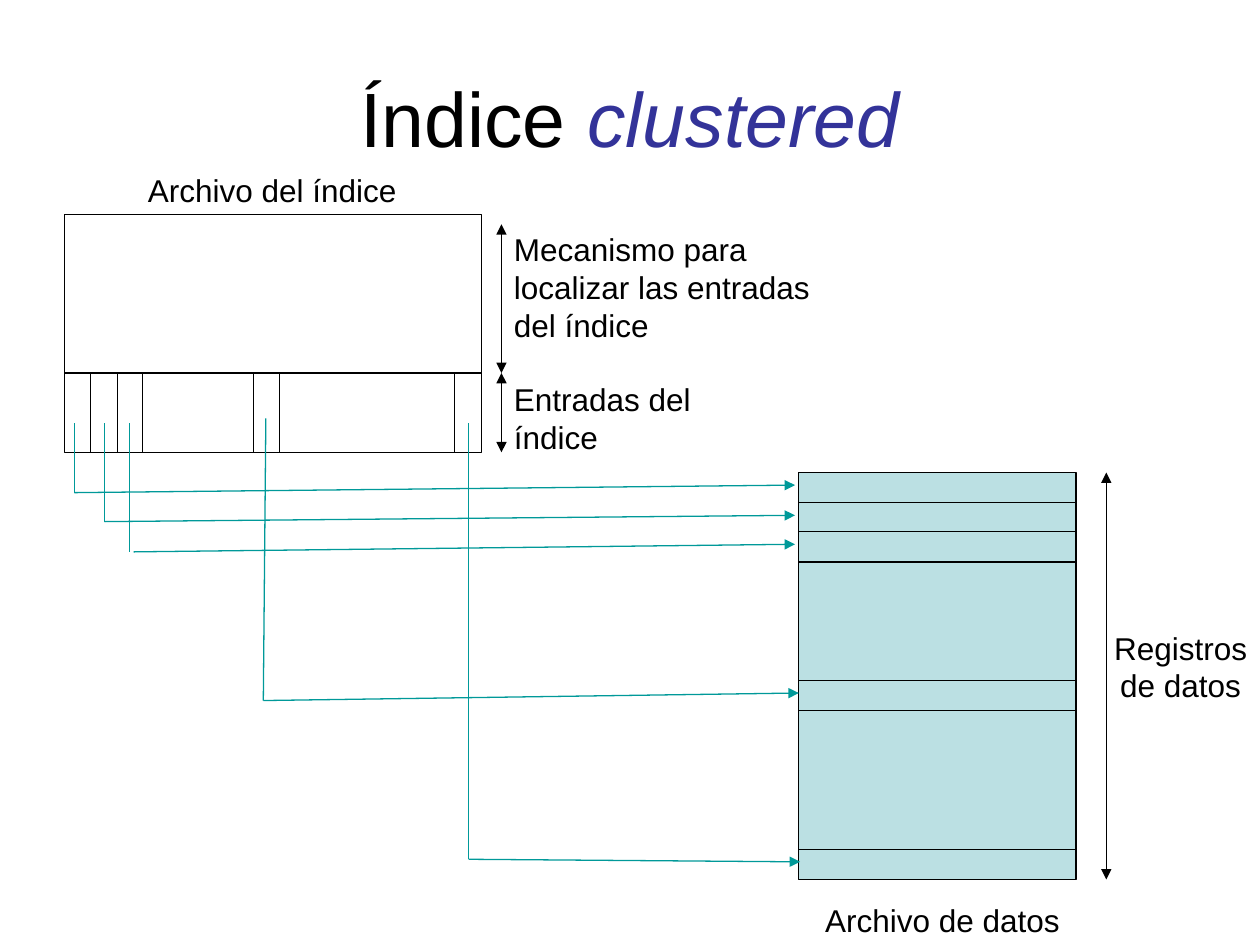
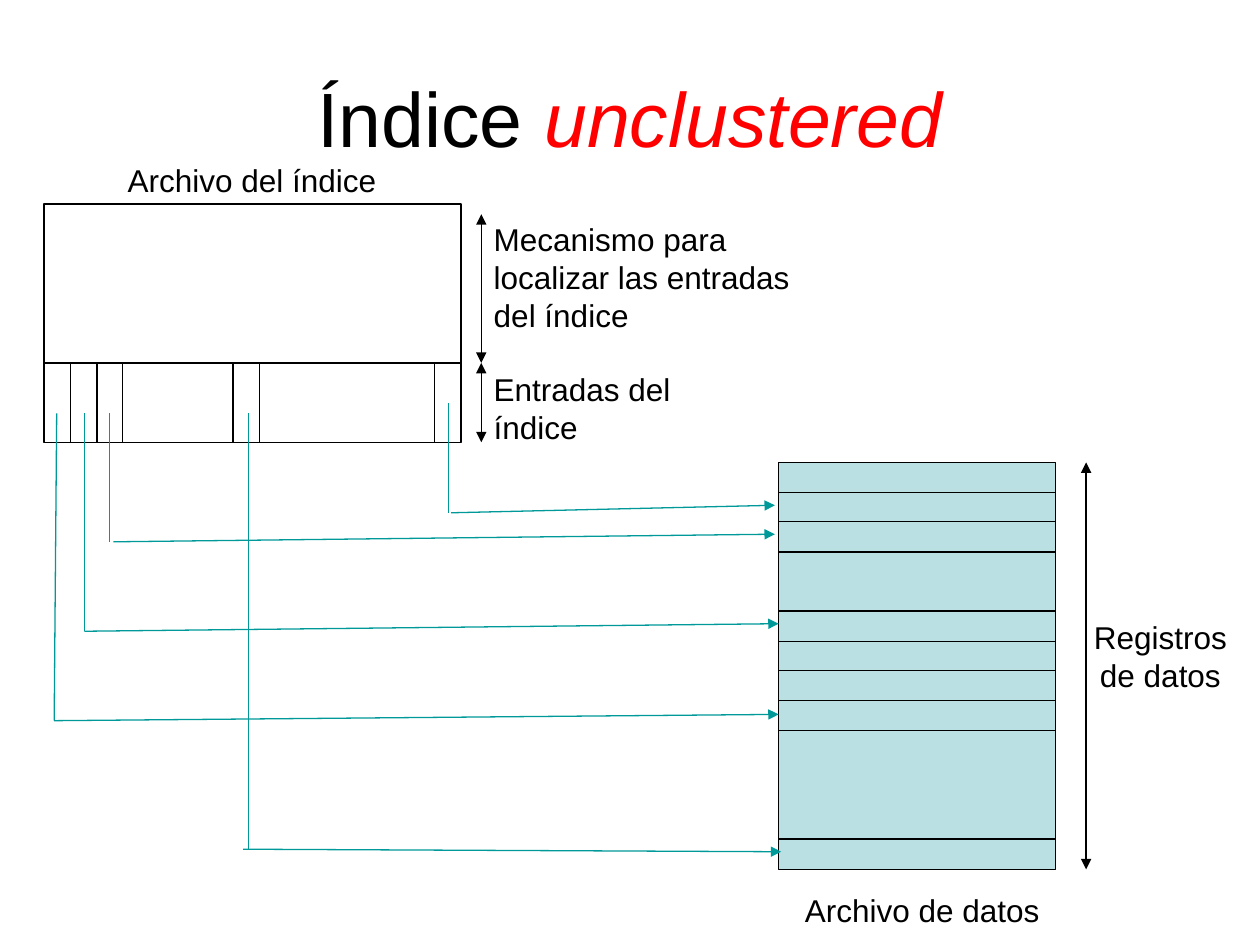
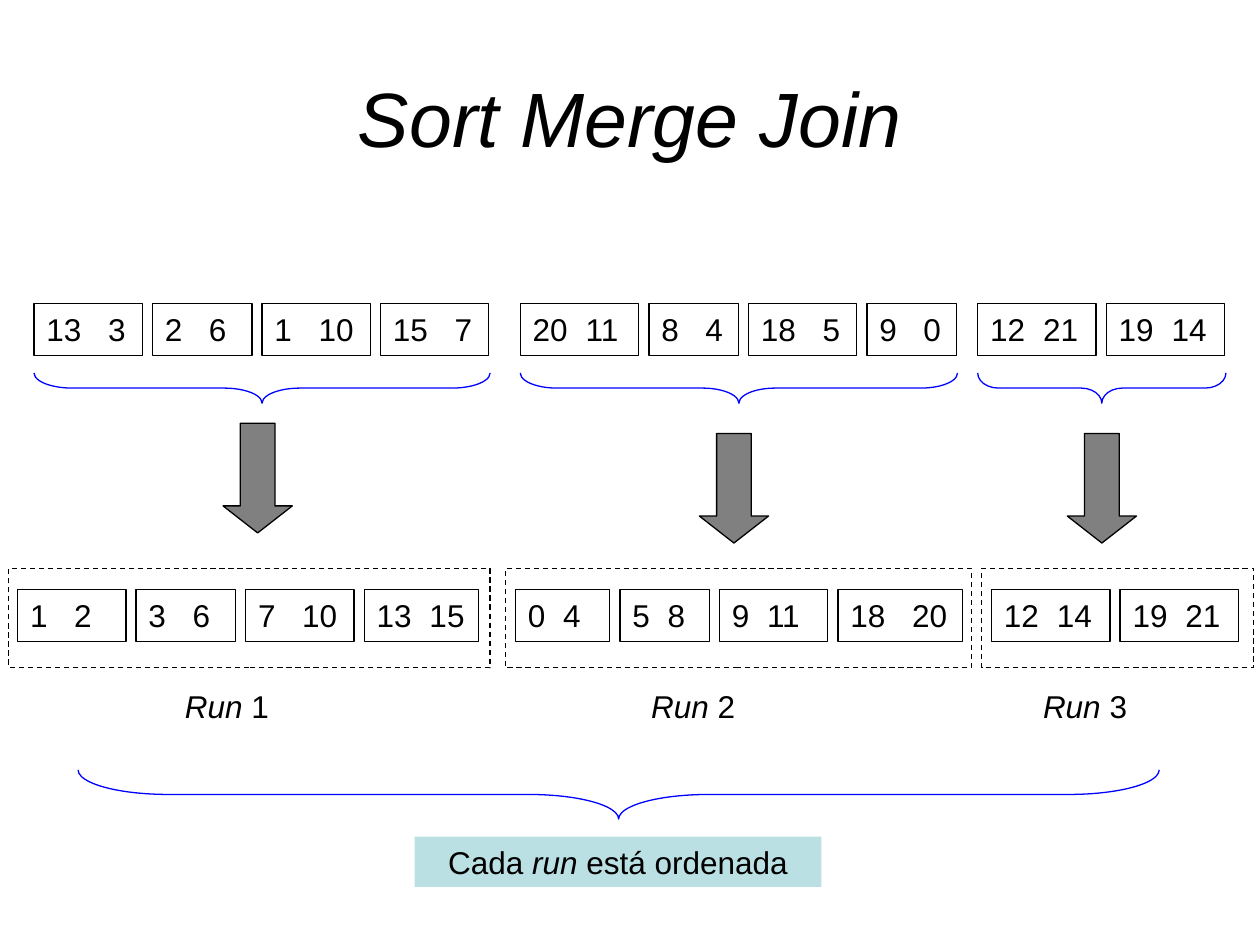
from dataclasses import dataclass

from lxml.etree import SubElement
from pptx import Presentation
from pptx.dml.color import RGBColor
from pptx.enum.dml import MSO_LINE_DASH_STYLE as Dash
from pptx.enum.shapes import MSO_AUTO_SHAPE_TYPE as Shape
from pptx.enum.shapes import MSO_CONNECTOR_TYPE as Connector
from pptx.enum.text import MSO_ANCHOR as Anchor
from pptx.enum.text import MSO_AUTO_SIZE as AutoSize
from pptx.enum.text import PP_ALIGN as Align
from pptx.oxml.ns import qn
from pptx.util import Inches, Pt


@dataclass(frozen=True)
class Theme:
    font: str = "Arial"
    title_size: int = 44
    body_size: int = 18
    line_width: float = 0.75
    ink: str = "000000"
    data: str = "BBE0E3"
    pointer: str = "009999"
    brace: str = "0000FF"
    arrow: str = "808080"
    clustered: str = "333399"
    unclustered: str = "FF0000"


class Builder:
    """Holds the style and the current slide."""

    def __init__(self, deck, theme):
        self.deck, self.theme, self.page = deck, theme, None

    def new_page(self, *title):
        self.page = self.deck.slides.add_slide(self.deck.slide_layouts[6])
        box = self.text(0.5, 0.3, 9, 1.25, *title, align=Align.CENTER,
                        size=self.theme.title_size)
        box.text_frame.auto_size = AutoSize.NONE
        box.text_frame.vertical_anchor = Anchor.MIDDLE

    def set_text(self, shape, spans, align=Align.LEFT, size=None):
        """Each span is a string or a pair of string and font values."""
        frame = shape.text_frame
        layout = {"word_wrap": True, "auto_size": AutoSize.SHAPE_TO_FIT_TEXT,
                  "vertical_anchor": Anchor.TOP}
        for name, value in layout.items():
            setattr(frame, name, value)
        para = frame.paragraphs[0]
        para.alignment = align
        for item in spans:
            words, extra = (item, {}) if isinstance(item, str) else item
            span = para.add_run()
            span.text = words
            values = {"name": self.theme.font, "italic": False,
                      "size": Pt(size or self.theme.body_size)}
            values.update(extra)
            colour = values.pop("colour", self.theme.ink)
            for name, value in values.items():
                setattr(span.font, name, value)
            span.font.color.rgb = RGBColor.from_string(colour)
        return para

    def text(self, left, top, width, height, *spans, **style):
        box = self.page.shapes.add_textbox(
            Inches(left), Inches(top), Inches(width), Inches(height))
        self.set_text(box, spans, **style)
        return box

    def shape(self, kind, left, top, width, height, fill=None, line=None, dash=None):
        shape = self.page.shapes.add_shape(
            kind, Inches(left), Inches(top), Inches(width), Inches(height))
        shape.shadow.inherit = False
        if fill:
            shape.fill.solid()
            shape.fill.fore_color.rgb = RGBColor.from_string(fill)
        else:
            shape.fill.background()
        if line:
            shape.line.color.rgb = RGBColor.from_string(line)
            shape.line.width = Pt(self.theme.line_width)
            shape.line.dash_style = dash
        else:
            shape.line.fill.background()
        return shape

    def line(self, start, end, colour=None, heads=()):
        """Heads names the arrow ends: headEnd at start, tailEnd at end."""
        points = [Inches(value) for value in (*start, *end)]
        line = self.page.shapes.add_connector(Connector.STRAIGHT, *points)
        line.line.color.rgb = RGBColor.from_string(colour or self.theme.ink)
        line.line.width = Pt(self.theme.line_width)
        properties = line._element.spPr
        for head in heads:
            SubElement(properties.find(qn("a:ln")), qn("a:" + head), type="triangle")
        SubElement(properties, qn("a:effectLst"))

    def span_arrow(self, x, top, bottom):
        self.line((x, top), (x, bottom), heads=("headEnd", "tailEnd"))

    def pointer(self, entry, bend, start_x, record):
        """Drop from an index entry, then an arrow to its record."""
        colour = self.theme.pointer
        self.line(entry, bend, colour)
        self.line((start_x, bend[1]), record, colour, heads=("tailEnd",))

    def brace(self, left, top, length, depth):
        """Brace that points down: a left brace turned about its centre."""
        shape = self.shape(Shape.LEFT_BRACE, left + (length - depth) / 2,
                           top - (length - depth) / 2, depth, length,
                           line=self.theme.brace)
        shape.rotation = 270
        shape.adjustments[0] = length / 12 / depth

    def number_pair(self, left, top, width, first, second, spaces):
        box = self.shape(Shape.RECTANGLE, left, top, width, 0.41, line=self.theme.ink)
        para = self.set_text(box, [f"{first}\t{second}"])
        stops = SubElement(para._p.get_or_add_pPr(), qn("a:tabLst"))
        # A digit is two spaces wide
        stop = Inches(0.07 * (2 * len(str(first)) + spaces))
        SubElement(stops, qn("a:tab"), pos=str(stop), algn="l")

    def pair_row(self, left, top, gap, pairs):
        for width, *numbers in pairs:
            self.number_pair(left, top, width, *numbers)
            left += width + gap

    def index_diagram(self, left, top, separators):
        """Index file at left, top with its data file below to the right."""
        # Data file
        data_left, data_top, data_width, data_height = left + 5.83, top + 2.05, 2.2, 3.23
        self.shape(Shape.RECTANGLE, data_left, data_top, data_width, data_height,
                   fill=self.theme.data, line=self.theme.ink)
        for offset in separators:
            y = data_top + offset
            self.line((data_left, y), (data_left + data_width, y))
        # Index file
        width, height, entries = 3.31, 1.89, top + 1.26
        self.shape(Shape.RECTANGLE, left, top, width, height, line=self.theme.ink)
        self.line((left, entries), (left + width, entries))
        for offset in (0.21, 0.42, 0.62, 1.5, 1.71, 3.1):
            self.line((left + offset, entries), (left + offset, top + height))
        # Labels
        for x, y, box_width, box_height, words, align in (
            (5.75, 5.4, 2.44, 0.4, "Archivo de datos", Align.CENTER),
            (3.47, 1.27, 1.73, 0.7, "Entradas del índice", Align.LEFT),
            (3.47, 0.08, 2.68, 1, "Mecanismo para localizar las entradas del índice",
             Align.LEFT),
            (8.11, 3.24, 1.5, 0.7, "Registros de datos", Align.CENTER),
            (0.39, -0.39, 2.52, 0.4, "Archivo del índice", Align.CENTER),
        ):
            self.text(left + x, top + y, box_width, box_height, words, align=align)
        # Extent arrows
        self.span_arrow(left + 8.27, data_top, data_top + data_height)
        self.span_arrow(left + 3.47, top + 0.08, entries)
        self.span_arrow(left + 3.47, entries, top + height)


theme = Theme()
deck = Presentation()
deck.slide_width, deck.slide_height = Inches(10), Inches(7.5)
build = Builder(deck, theme)
italic = {"italic": True}
records = (0.24, 0.47, 0.71, 1.65, 1.89, 2.99)

# Clustered index: pointers keep the order of the records
build.new_page("Índice ", ("clustered", {"italic": True, "colour": theme.clustered}))
build.index_diagram(0.51, 1.7, records)
for link in (
    ((0.59, 3.36), (0.59, 3.91), 0.59, (6.31, 3.85)),
    ((0.83, 3.36), (0.83, 4.14), 0.83, (6.31, 4.09)),
    ((1.03, 3.36), (1.03, 4.38), 1.06, (6.31, 4.32)),
    ((2.11, 3.32), (2.09, 5.56), 2.09, (6.34, 5.5)),
    ((3.72, 3.36), (3.72, 6.82), 3.72, (6.35, 6.84)),
):
    build.pointer(*link)

# Unclustered index: pointers cross
build.new_page("Índice ", ("unclustered", {"italic": True, "colour": theme.unclustered}))
build.index_diagram(0.35, 1.62, records + (1.18, 1.42, 2.13))
for link in (
    ((0.45, 3.28), (0.43, 5.72), 0.43, (6.18, 5.67)),
    ((0.67, 3.28), (0.67, 5.01), 0.67, (6.18, 4.95)),
    ((0.87, 3.28), (0.87, 4.3), 0.9, (6.15, 4.24)),
    ((1.97, 3.28), (1.97, 6.74), 1.93, (6.2, 6.76)),
    ((3.56, 3.2), (3.56, 4.07), 3.58, (6.15, 4.01)),
):
    build.pointer(*link)

# Sort merge join: each pair is width, two numbers and the spaces between
build.new_page(("Sort Merge Join", italic))
runs = (
    {"unsorted": (0.27, [(0.86, 13, 3, 3), (0.79, 2, 6, 3), (0.86, 1, 10, 3),
                         (0.86, 15, 7, 3)]),
     "sorted": (0.14, [(0.86, 1, 2, 3), (0.79, 3, 6, 3), (0.86, 7, 10, 3),
                       (0.91, 13, 15, 2)]),
     "brace": (0.27, 3.62), "arrow": (1.77, 3.36), "frame": (0.07, 3.82),
     "label": (1.37, 1.1)},
    {"unsorted": (4.13, [(0.94, 20, 11, 2), (0.71, 8, 4, 3), (0.86, 18, 5, 3),
                         (0.71, 9, 0, 3)]),
     "sorted": (4.09, [(0.75, 0, 4, 2), (0.71, 5, 8, 2), (0.86, 9, 11, 2),
                       (0.99, 18, 20, 3)]),
     "brace": (4.13, 3.47), "arrow": (5.55, 3.44), "frame": (4.01, 3.7),
     "label": (5.07, 1.18)},
    {"unsorted": (7.76, [(0.94, 12, 21, 2), (0.94, 19, 14, 2)]),
     "sorted": (7.87, [(0.94, 12, 14, 2), (0.94, 19, 21, 2)]),
     "brace": (7.76, 1.97), "arrow": (8.47, 3.44), "frame": (7.79, 2.16),
     "label": (8.18, 1.34)},
)
for number, run in enumerate(runs, 1):
    for state, top in (("unsorted", 2.41), ("sorted", 4.68)):
        left, pairs = run[state]
        build.pair_row(left, top, 0.08, pairs)
    left, width = run["frame"]
    build.shape(Shape.RECTANGLE, left, 4.51, width, 0.79, line=theme.ink, dash=Dash.DASH)
    left, length = run["brace"]
    build.brace(left, 2.96, length, 0.24)
    arrow = build.shape(Shape.DOWN_ARROW, *run["arrow"], 0.55, 0.87,
                        fill=theme.arrow, line=theme.ink)
    arrow.adjustments[1] = 0.39
    left, width = run["label"]
    build.text(left, 5.4, width, 0.4, ("Run", italic), f" {number}")

# Conclusion under all runs
build.brace(0.62, 6.11, 8.58, 0.39)
banner = build.shape(Shape.RECTANGLE, 3.29, 6.64, 3.23, 0.4, fill=theme.data)
build.set_text(banner, ("Cada ", ("run", italic), " está ordenada"), align=Align.CENTER)

deck.save("out.pptx")
